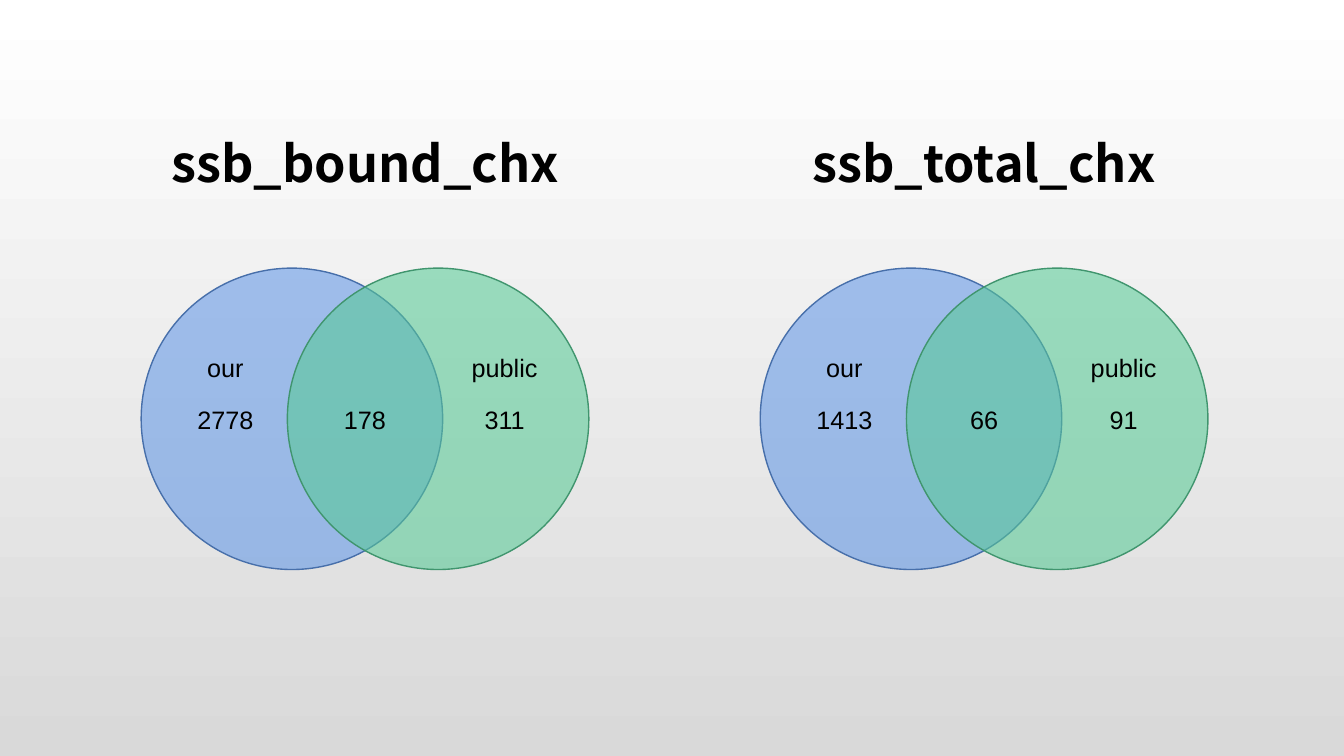
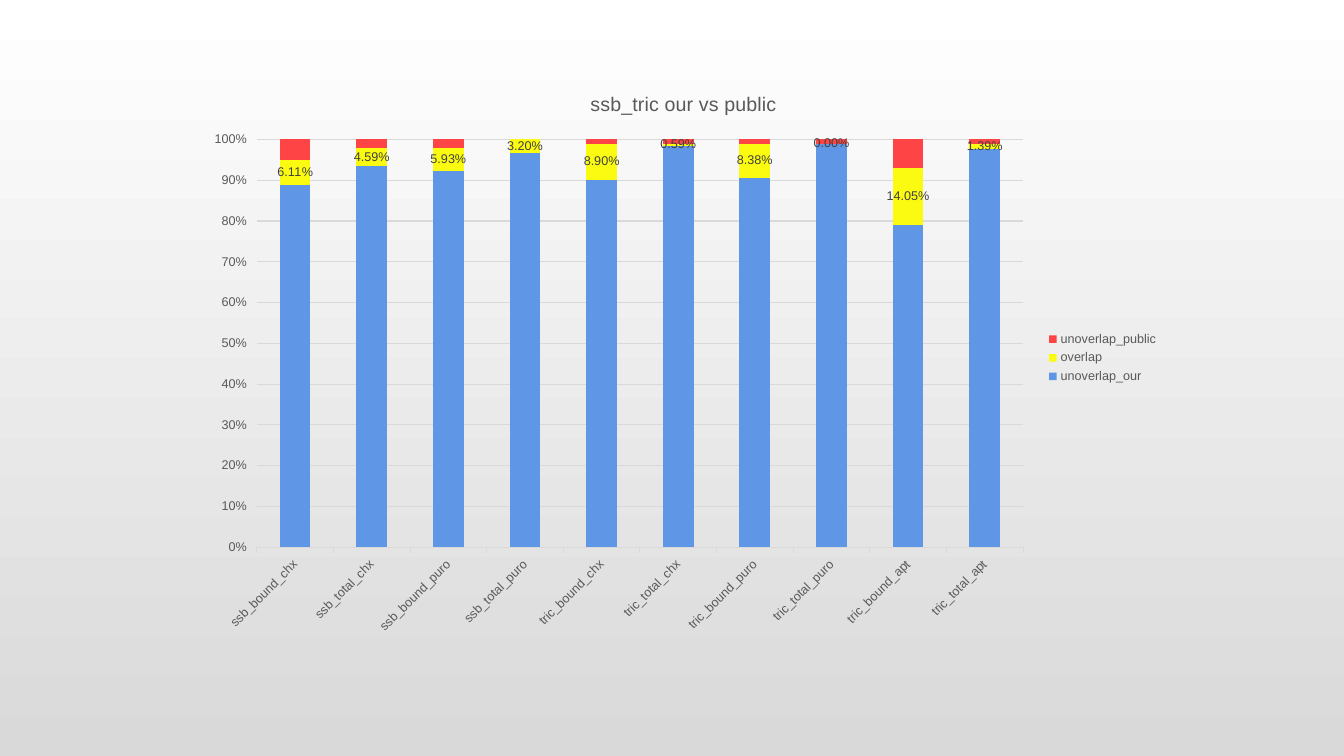
from dataclasses import dataclass

from lxml.etree import SubElement
from pptx import Presentation
from pptx.chart.data import CategoryChartData
from pptx.dml.color import RGBColor
from pptx.enum.chart import XL_CHART_TYPE as ChartType
from pptx.enum.chart import XL_LABEL_POSITION as LabelPosition
from pptx.enum.chart import XL_LEGEND_POSITION as LegendPosition
from pptx.enum.chart import XL_TICK_MARK as TickMark
from pptx.enum.shapes import MSO_SHAPE as ShapeKind
from pptx.enum.text import MSO_ANCHOR as Anchor
from pptx.enum.text import MSO_AUTO_SIZE as AutoSize
from pptx.enum.text import PP_ALIGN as Align
from pptx.oxml import parse_xml
from pptx.oxml.ns import nsdecls, qn
from pptx.util import Inches, Pt

# Shared style
BODY_FONT, TITLE_FONT = "Arial", "Noto Sans CJK SC"
BLACK, GREY, DARK_GREY, GRID_GREY = "000000", "595959", "404040", "D9D9D9"
BLUE, GREEN, YELLOW, RED = "6096E6", "56CA95", "FBFB11", "FE4444"
BACKGROUND = ("FFFFFF", "D9D9D9")

# Venn geometry in inches
CIRCLE_SIZE, CIRCLE_SHIFT, CIRCLE_TOP = 2.99, 1.45, 2.66
REGION_STEP = 1.385
NAME_TOP, COUNT_TOP = 3.45, 3.96


@dataclass(frozen=True)
class Venn:
    title: str
    center: float
    counts: tuple[int, int, int]


@dataclass(frozen=True)
class Circle:
    name: str
    side: int
    fill: str
    line: str


@dataclass(frozen=True)
class Share:
    name: str
    color: str
    values: tuple[float, ...]


VENNS = (
    Venn("ssb_bound_chx", 3.62, (2778, 178, 311)),
    Venn("ssb_total_chx", 9.76, (1413, 66, 91)),
)
CIRCLES = (
    Circle("our", -1, BLUE, "476FAA"),
    Circle("public", 1, GREEN, "40956E"),
)
SAMPLES = (
    "ssb_bound_chx", "ssb_total_chx", "ssb_bound_puro", "ssb_total_puro",
    "tric_bound_chx", "tric_total_chx", "tric_bound_puro", "tric_total_puro",
    "tric_bound_apt", "tric_total_apt",
)
OVERLAP = "overlap"
SHARES = (
    Share("unoverlap_our", BLUE,
          (0.89, 0.94, 0.93, 0.96, 0.9, 0.98, 0.91, 0.99, 0.79, 0.98)),
    Share(OVERLAP, YELLOW,
          (0.0611, 0.0459, 0.0593, 0.032, 0.089,
           0.0059, 0.0838, 0, 0.1405, 0.0139)),
    Share("unoverlap_public", RED,
          (0.05, 0.02, 0.02, 0, 0.01, 0.01, 0.01, 0.01, 0.07, 0.01)),
)


def rgb(color: str) -> RGBColor:
    return RGBColor.from_string(color)


def style_font(font, size: float, color: str, name: str = BODY_FONT,
               bold: bool = False) -> None:
    font.size, font.name, font.bold = Pt(size), name, bold
    font.color.rgb = rgb(color)


def write_centered(text_frame, text: str, size: float,
                   font_name: str = BODY_FONT, bold: bool = False) -> None:
    paragraph = text_frame.paragraphs[0]
    paragraph.alignment = Align.CENTER
    run = paragraph.add_run()
    run.text = text
    style_font(run.font, size, BLACK, font_name, bold)


def set_background(presentation) -> None:
    fill = presentation.slide_master.background.fill
    fill.gradient()
    fill.gradient_angle = 270
    for stop, color in zip(fill.gradient_stops, BACKGROUND):
        stop.color.rgb = rgb(color)


def add_title_table(slide, venn: Venn) -> None:
    frame = slide.shapes.add_table(1, 1, Inches(venn.center - 2), Inches(1.03),
                                   Inches(4), Inches(1.16))
    table = frame.table
    table.first_row = table.horz_banding = False
    cell = table.cell(0, 0)
    cell.margin_left = cell.margin_right = cell.margin_top = Inches(0.01)
    cell.margin_bottom = Inches(0.05)
    cell.vertical_anchor = Anchor.MIDDLE
    # Borders off; they stand before the fill
    properties = cell._tc.get_or_add_tcPr()
    for side in ("a:lnL", "a:lnR", "a:lnT", "a:lnB"):
        SubElement(SubElement(properties, qn(side)), qn("a:noFill"))
    cell.fill.background()
    write_centered(cell.text_frame, venn.title, 36, TITLE_FONT, bold=True)


def add_circle(shapes, center: float, circle: Circle) -> None:
    left = center + (circle.side * CIRCLE_SHIFT - CIRCLE_SIZE) / 2
    shape = shapes.add_shape(ShapeKind.OVAL, Inches(left), Inches(CIRCLE_TOP),
                             Inches(CIRCLE_SIZE), Inches(CIRCLE_SIZE))
    shape.shadow.inherit = False
    shape.fill.solid()
    shape.fill.fore_color.rgb = rgb(circle.fill)
    fill_color = shape._element.spPr.find(qn("a:solidFill"))[0]
    SubElement(fill_color, qn("a:alpha"), val="57000")
    shape.line.color.rgb = rgb(circle.line)
    shape.line.width = Pt(1)


def add_label(shapes, text: str, center: float, top: float,
              width: float) -> None:
    box = shapes.add_textbox(Inches(center - width / 2), Inches(top),
                             Inches(width), Inches(0.4))
    box.text_frame.word_wrap = True
    box.text_frame.auto_size = AutoSize.SHAPE_TO_FIT_TEXT
    write_centered(box.text_frame, text, 18)


def add_venn(slide, venn: Venn) -> None:
    add_title_table(slide, venn)
    group = slide.shapes.add_group_shape()
    for circle in CIRCLES:
        add_circle(group.shapes, venn.center, circle)
    for circle in CIRCLES:
        add_label(group.shapes, circle.name,
                  venn.center + circle.side * REGION_STEP, NAME_TOP, 1.23)
    for region, count in enumerate(venn.counts, start=-1):
        add_label(slide.shapes, str(count),
                  venn.center + region * REGION_STEP, COUNT_TOP, 0.88)


def place_plot(chart, left: float, top: float, width: float,
               height: float) -> None:
    plot_area = chart._chartSpace.chart.plotArea
    for layout in plot_area.findall(qn("c:layout")):
        plot_area.remove(layout)
    layout = parse_xml(
        f'<c:layout {nsdecls("c")}><c:manualLayout>'
        '<c:layoutTarget val="inner"/>'
        '<c:xMode val="edge"/><c:yMode val="edge"/>'
        f'<c:x val="{left}"/><c:y val="{top}"/>'
        f'<c:w val="{width}"/><c:h val="{height}"/>'
        '</c:manualLayout></c:layout>')
    plot_area.insert(0, layout)


def style_axes(chart) -> None:
    categories, values = chart.category_axis, chart.value_axis
    for axis in (categories, values):
        axis.major_tick_mark = TickMark.OUTSIDE
        axis.minor_tick_mark = TickMark.NONE
        style_font(axis.tick_labels.font, 9, GREY)
    for line in (categories.format.line, values.major_gridlines.format.line):
        line.color.rgb = rgb(GRID_GREY)
        line.width = Pt(0.75)
    values.format.line.fill.background()
    values.tick_labels.number_format = "0%"
    values.tick_labels.number_format_is_linked = False
    # Slanted sample names
    body = categories._element.find(qn("c:txPr")).find(qn("a:bodyPr"))
    body.set("rot", "-2700000")


def add_share_chart(slide) -> None:
    data = CategoryChartData(number_format="0.00%")
    data.categories = SAMPLES
    for share in SHARES:
        data.add_series(share.name, share.values)
    chart = slide.shapes.add_chart(
        ChartType.COLUMN_STACKED_100, Inches(1.97), Inches(0.7),
        Inches(9.62), Inches(5.7), data).chart
    style_font(chart.font, 10, BLACK)

    # Title and legend
    chart.has_title = True
    run = chart.chart_title.text_frame.paragraphs[0].add_run()
    run.text = "ssb_tric our vs public"
    style_font(run.font, 14, GREY)
    chart.chart_title.include_in_layout = False
    chart.has_legend = True
    chart.legend.position = LegendPosition.RIGHT
    chart.legend.include_in_layout = False
    style_font(chart.legend.font, 9, GREY)

    # Columns and overlap labels
    plot = chart.plots[0]
    plot.gap_width, plot.overlap = 150, 100
    plot.vary_by_categories = False
    for series, share in zip(plot.series, SHARES):
        series.format.fill.solid()
        series.format.fill.fore_color.rgb = rgb(share.color)
        if share.name == OVERLAP:
            labels = series.data_labels
            labels.show_value = True
            labels.position = LabelPosition.CENTER
            labels.number_format = "0.00%"
            labels.number_format_is_linked = False
            style_font(labels.font, 9, DARK_GREY)
    style_axes(chart)
    place_plot(chart, 0.06, 0.12, 0.79, 0.71)


def main() -> None:
    presentation = Presentation()
    presentation.slide_width = Inches(13.33)
    presentation.slide_height = Inches(7.5)
    set_background(presentation)
    blank = presentation.slide_layouts[6]

    # Overlap of the two data sets
    venn_slide = presentation.slides.add_slide(blank)
    for venn in VENNS:
        add_venn(venn_slide, venn)

    # Shares per sample
    add_share_chart(presentation.slides.add_slide(blank))
    presentation.save("out.pptx")


if __name__ == "__main__":
    main()
